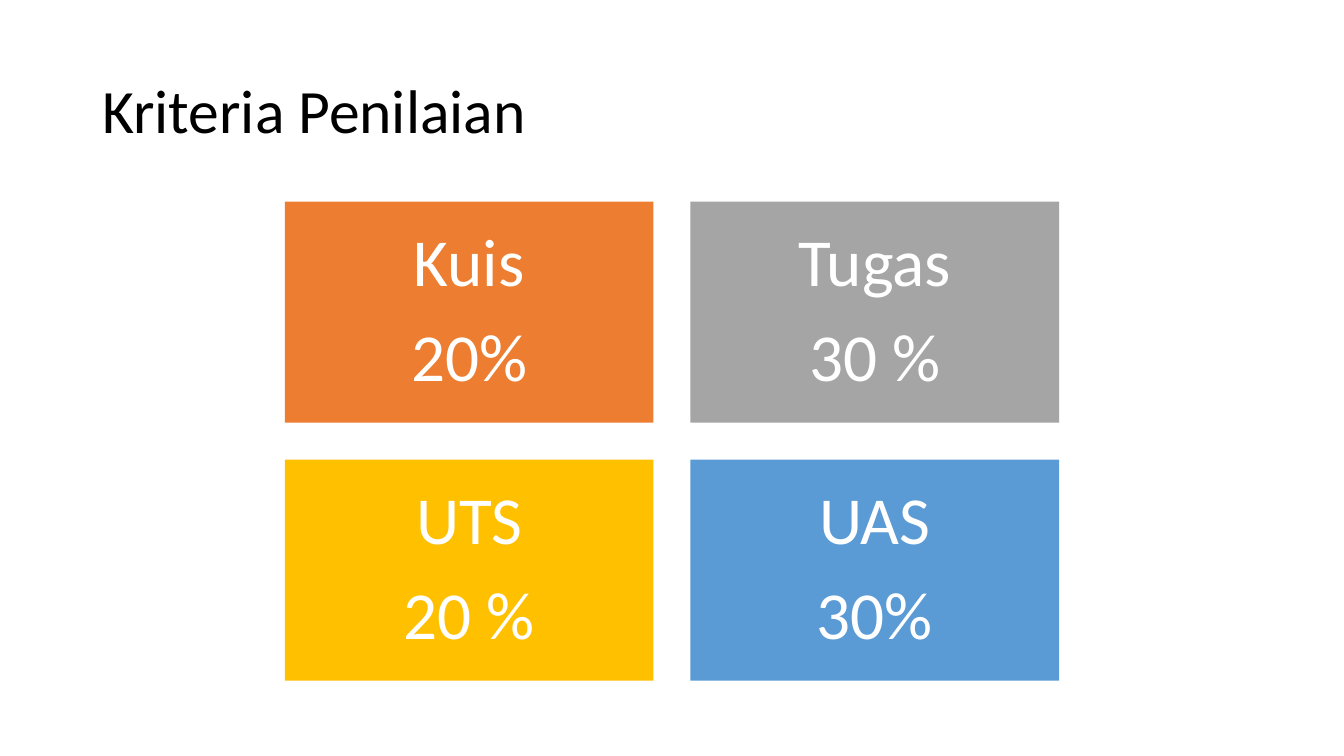
from pptx import Presentation
from pptx.dml.color import RGBColor
from pptx.enum.shapes import MSO_SHAPE
from pptx.enum.text import MSO_ANCHOR, PP_ALIGN
from pptx.util import Cm, Pt

RECT = MSO_SHAPE.RECTANGLE
MIDDLE = MSO_ANCHOR.MIDDLE
CENTER = PP_ALIGN.CENTER

BLACK = RGBColor(0x00, 0x00, 0x00)
WHITE = RGBColor(0xFF, 0xFF, 0xFF)
ORANGE = RGBColor(0xED, 0x7D, 0x31)
GRAY = RGBColor(0xA5, 0xA5, 0xA5)
GOLD = RGBColor(0xFF, 0xC0, 0x00)
BLUE = RGBColor(0x5B, 0x9B, 0xD5)

FONT = "Calibri"
LEFT, TOP = 7.18, 5.08
WIDTH, HEIGHT, GAP = 9.29, 5.57, 0.93
INSET = Cm(0.51)


def style(para, size, color):
    para.line_spacing = 0.9
    para.font.name = FONT
    para.font.size = Pt(size)
    para.font.color.rgb = color


deck = Presentation()
deck.slide_width = Cm(33.87)
deck.slide_height = Cm(19.05)
slide = deck.slides.add_slide(deck.slide_layouts[6])

title = slide.shapes.add_textbox(Cm(2.33), Cm(1.01), Cm(29.21), Cm(3.68))
frame = title.text_frame
frame.word_wrap = True
frame.vertical_anchor = MIDDLE
frame.text = "Kriteria Penilaian"
style(frame.paragraphs[0], 44, BLACK)

tiles = [
    ("Kuis", "20%", ORANGE),
    ("Tugas", "30 %", GRAY),
    ("UTS", "20 %", GOLD),
    ("UAS", "30%", BLUE),
]

for index, (name, weight, color) in enumerate(tiles):
    row, col = divmod(index, 2)
    left = LEFT + col * (WIDTH + GAP)
    top = TOP + row * (HEIGHT + GAP)
    tile = slide.shapes.add_shape(RECT, Cm(left), Cm(top), Cm(WIDTH), Cm(HEIGHT))
    tile.shadow.inherit = False
    tile.fill.solid()
    tile.fill.fore_color.rgb = color
    tile.line.fill.background()
    frame = tile.text_frame
    frame.word_wrap = True
    frame.vertical_anchor = MIDDLE
    frame.margin_left = frame.margin_right = INSET
    frame.margin_top = frame.margin_bottom = INSET
    frame.text = f"{name}\n{weight}"
    for para in frame.paragraphs:
        style(para, 48, WHITE)
        para.alignment = CENTER
        para.space_after = Pt(16)

deck.save("out.pptx")
